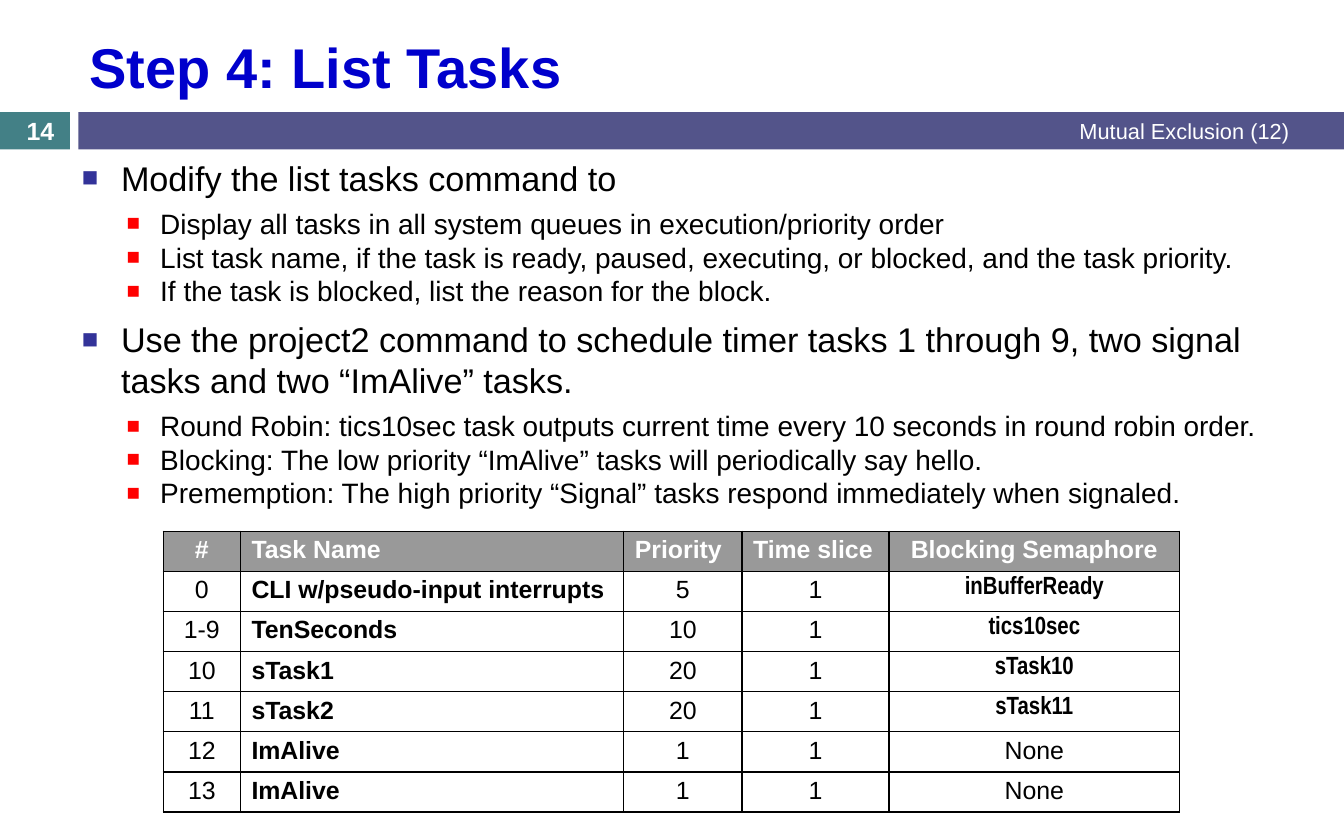
from lxml.etree import SubElement
from pptx import Presentation
from pptx.dml.color import RGBColor
from pptx.enum.shapes import MSO_SHAPE
from pptx.enum.text import MSO_ANCHOR, MSO_AUTO_SIZE, PP_ALIGN
from pptx.oxml.ns import qn
from pptx.util import Pt

HUES = {"teal": "438086", "slate": "53548A", "blue": "0000CC", "navy": "333399",
        "red": "FF0000", "gray": "999999", "white": "FFFFFF", "black": "000000"}
LEVELS = [
    {"size": 22, "left": 25.2, "hang": 25.2, "gap": 7, "hue": "navy"},
    {"size": 18, "left": 50.4, "hang": 21.6, "gap": 5.5, "hue": "red"},
]
ITEMS = [
    ("Modify the list tasks command to", [
        "Display all tasks in all system queues in execution/priority order",
        "List task name, if the task is ready, paused, executing, or blocked, and the task priority.",
        "If the task is blocked, list the reason for the block."]),
    ("Use the project2 command to schedule timer tasks 1 through 9, two signal "
     "tasks and two “ImAlive” tasks.", [
         "Round Robin: tics10sec task outputs current time every 10 seconds in round robin order.",
         "Blocking: The low priority “ImAlive” tasks will periodically say hello.",
         "Prememption: The high priority “Signal” tasks respond immediately when signaled."]),
]
HEADS = ["#", "Task Name", "Priority", "Time slice", "Blocking Semaphore"]
TASKS = [
    ["0", "CLI w/pseudo-input interrupts", "5", "1", "inBufferReady"],
    ["1-9", "TenSeconds", "10", "1", "tics10sec"],
    ["10", "sTask1", "20", "1", "sTask10"],
    ["11", "sTask2", "20", "1", "sTask11"],
    ["12", "ImAlive", "1", "1", "None"],
    ["13", "ImAlive", "1", "1", "None"],
]
WIDTHS = [49.5, 246.5, 76, 94.5, 187]


def hue(name):
    """Return the named colour."""
    return RGBColor.from_string(HUES[name])


def apply(item, vals):
    """Set each attribute of item from a dict."""
    for key, val in vals.items():
        setattr(item, key, val)


def place(shape, box):
    """Move a shape to a box given in points."""
    apply(shape, dict(zip(("left", "top", "width", "height"), map(Pt, box))))


def write(para, text, size, tone="black", bold=False, face="Arial", align=PP_ALIGN.LEFT):
    """Fill a paragraph with one formatted run."""
    para.alignment = align
    run = para.add_run()
    run.text = text
    apply(run.font, {"size": Pt(size), "bold": bold, "name": face})
    run.font.color.rgb = hue(tone)


def add_bar(slide, box, tone):
    """Draw a plain filled bar."""
    bar = slide.shapes.add_shape(MSO_SHAPE.RECTANGLE, *map(Pt, box))
    bar.shadow.inherit = False
    bar.fill.solid()
    bar.fill.fore_color.rgb = hue(tone)
    bar.line.fill.background()


def add_label(slide, box, text, **form):
    """Add a text box centred on its height."""
    frame = slide.shapes.add_textbox(*map(Pt, box)).text_frame
    apply(frame, {"word_wrap": True, "vertical_anchor": MSO_ANCHOR.MIDDLE})
    write(frame.paragraphs[0], text, **form)


def add_band(slide, box):
    """Draw the page number tab and the section bar."""
    left, top, width, high = box
    tab, start = 45, 50.4
    add_bar(slide, (left, top, tab, high), "teal")
    add_bar(slide, (left + start, top, width - start, high), "slate")
    add_label(slide, (left + 324, top - 0.5, 512, 25), "Mutual Exclusion (12)",
              size=14, tone="white", align=PP_ALIGN.RIGHT)
    add_label(slide, (left, top + 1.5, 52, 21.5), "14",
              size=16, tone="white", bold=True, align=PP_ALIGN.CENTER)


def set_title(slide, box):
    """Place and fill the title."""
    title = slide.shapes.title
    place(title, box)
    apply(title.text_frame, {"vertical_anchor": MSO_ANCHOR.MIDDLE,
                             "auto_size": MSO_AUTO_SIZE.NONE})
    write(title.text_frame.paragraphs[0], "Step 4: List Tasks", 36, "blue", True)


def add_item(frame, text, level, gap):
    """Add one bulleted paragraph."""
    form = LEVELS[level]
    first = not frame.text
    para = frame.paragraphs[0] if first else frame.add_paragraph()
    apply(para, {"level": level, "space_before": Pt(0 if first else gap)})
    props = para._p.get_or_add_pPr()
    props.set("marL", str(Pt(form["left"])))
    props.set("indent", str(-Pt(form["hang"])))
    tint = SubElement(props, qn("a:buClr"))
    SubElement(tint, qn("a:srgbClr"), val=HUES[form["hue"]])
    SubElement(props, qn("a:buSzPct"), val="80000")
    SubElement(props, qn("a:buFont"), typeface="Arial")
    SubElement(props, qn("a:buChar"), char="■")
    write(para, text, form["size"])


def set_list(slide, box):
    """Place and fill the two-level list."""
    body = slide.placeholders[1]
    place(body, box)
    frame = body.text_frame
    apply(frame, {"vertical_anchor": MSO_ANCHOR.TOP, "auto_size": MSO_AUTO_SIZE.NONE})
    for head, subs in ITEMS:
        add_item(frame, head, 0, LEVELS[0]["gap"])
        for num, sub in enumerate(subs):
            add_item(frame, sub, 1, 0 if num else LEVELS[1]["gap"])


def add_edges(cell):
    """Draw a thin black border around a cell."""
    props = cell._tc.get_or_add_tcPr()
    for num, side in enumerate(("lnL", "lnR", "lnT", "lnB")):
        line = props.makeelement(qn("a:" + side), {"w": str(Pt(1))})
        fill = SubElement(line, qn("a:solidFill"))
        SubElement(fill, qn("a:srgbClr"), val=HUES["black"])
        props.insert(num, line)


def add_tasks(slide, box):
    """Build the task table."""
    rows = [HEADS] + TASKS
    table = slide.shapes.add_table(len(rows), len(HEADS), *map(Pt, box)).table
    table.horz_banding = False
    for col, width in zip(table.columns, WIDTHS):
        col.width = Pt(width)
    for num, row in enumerate(rows):
        table.rows[num].height = Pt(box[3] / len(rows))
        for col, text in enumerate(row):
            cell = table.cell(num, col)
            apply(cell, {"margin_top": Pt(3.3), "margin_bottom": Pt(3.3)})
            head = num == 0
            if head:
                cell.fill.solid()
                cell.fill.fore_color.rgb = hue("gray")
            else:
                cell.fill.background()
            add_edges(cell)
            narrow = not head and col == 4 and text != "None"
            left = col == 1 or head and col in (2, 3)
            write(cell.text_frame.paragraphs[0], text, 16,
                  "white" if head else "black", head or col == 1 or narrow,
                  "Arial Narrow" if narrow else "Arial",
                  PP_ALIGN.LEFT if left else PP_ALIGN.CENTER)


def main():
    """Build the slide and save it."""
    deck = Presentation()
    apply(deck, {"slide_width": Pt(864), "slide_height": Pt(540)})
    slide = deck.slides.add_slide(deck.slide_layouts[1])
    add_band(slide, (0, 72, 864, 24))
    set_title(slide, (50.4, 13.7, 785.5, 57.6))
    set_list(slide, (45.4, 97.2, 791.3, 422))
    add_tasks(slide, (105, 341.5, 653.5, 175.5))
    deck.save("out.pptx")


if __name__ == "__main__":
    main()
